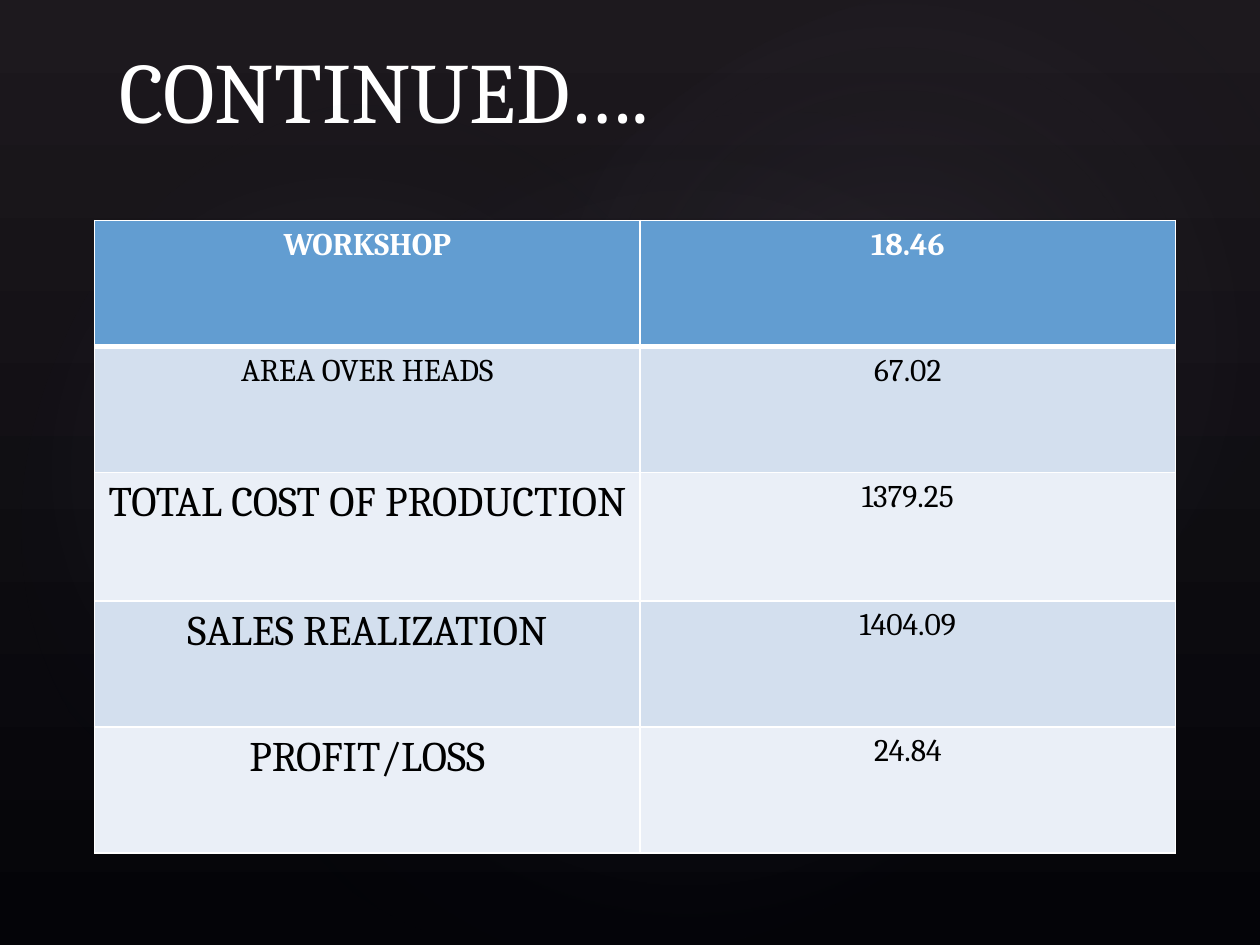
from lxml.etree import SubElement
from pptx import Presentation
from pptx.dml.color import RGBColor
from pptx.enum.shapes import MSO_SHAPE
from pptx.enum.text import MSO_ANCHOR, MSO_AUTO_SIZE, PP_ALIGN
from pptx.oxml import parse_xml
from pptx.oxml.ns import nsdecls, qn
from pptx.util import Inches, Pt

FONT = "Cambria"
WHITE = RGBColor(0xFF, 0xFF, 0xFF)
BLACK = RGBColor(0x00, 0x00, 0x00)
HEADER_BLUE = RGBColor(0x62, 0x9D, 0xD1)
BAND_DARK = RGBColor(0xD3, 0xDF, 0xEE)
BAND_LIGHT = RGBColor(0xEA, 0xEF, 0xF7)
BACKDROP_TOP = RGBColor(0x1D, 0x19, 0x1E)
BACKDROP_BOTTOM = RGBColor(0x04, 0x04, 0x08)
GLOW_CENTRE = RGBColor(0xC4, 0xBC, 0xC6)
GLOW_EDGE = RGBColor(0x24, 0x28, 0x52)

# left, top, width, height, rotation, opacity of the centre in percent
GLOWS = [
    (1.5, 1.14, 7.92, 6.24, 328.7, 7),
    (-0.3, 1.28, 6.06, 4.9, 294.3, 8),
    (3.58, 0.13, 7.09, 5.2, 328.7, 8),
]
# label, value, label size
COST_ROWS = [
    ("WORKSHOP", "18.46", 18),
    ("AREA OVER HEADS", "67.02", 18),
    ("TOTAL COST OF PRODUCTION", "1379.25", 24),
    ("SALES REALIZATION", "1404.09", 24),
    ("PROFIT/LOSS", "24.84", 24),
]
VALUE_SIZE = 18
COLUMN_WIDTHS = [4.33, 4.25]
ROW_HEIGHTS = [1, 1, 1.02, 1, 1]


def add_run(paragraph, text, size, color, bold=False):
    run = paragraph.add_run()
    run.text = text
    run.font.name = FONT
    run.font.size = Pt(size)
    run.font.bold = bold
    run.font.color.rgb = color


def add_glow(slide, left, top, width, height, rotation, opacity):
    """Add a soft ellipse that fades out towards its edge."""
    glow = slide.shapes.add_shape(
        MSO_SHAPE.OVAL, Inches(left), Inches(top), Inches(width), Inches(height))
    glow.rotation = rotation
    glow.shadow.inherit = False
    glow.line.fill.background()
    gradient = parse_xml(
        f'<a:gradFill {nsdecls("a")} rotWithShape="1"><a:gsLst>'
        f'<a:gs pos="0"><a:srgbClr val="{GLOW_CENTRE}">'
        f'<a:alpha val="{opacity * 1000}"/></a:srgbClr></a:gs>'
        f'<a:gs pos="58000"><a:srgbClr val="{GLOW_EDGE}">'
        '<a:alpha val="0"/></a:srgbClr></a:gs></a:gsLst>'
        '<a:path path="circle">'
        '<a:fillToRect l="50000" t="50000" r="50000" b="50000"/>'
        '</a:path></a:gradFill>')
    glow.element.spPr.find(qn("a:prstGeom")).addnext(gradient)


def add_backdrop(slide):
    fill = slide.background.fill
    fill.gradient()
    fill.gradient_angle = 270
    for stop, color in zip(fill.gradient_stops, (BACKDROP_TOP, BACKDROP_BOTTOM)):
        stop.color.rgb = color
    for glow in GLOWS:
        add_glow(slide, *glow)


def place_title(slide, text, left, top, width, height):
    title = slide.shapes.title
    title.left, title.top = left, top
    title.width, title.height = width, height
    frame = title.text_frame
    frame.word_wrap = True
    frame.auto_size = MSO_AUTO_SIZE.NONE
    frame.vertical_anchor = MSO_ANCHOR.BOTTOM
    paragraph = frame.paragraphs[0]
    paragraph.alignment = PP_ALIGN.LEFT
    add_run(paragraph, text, 49, WHITE)


def set_borders(cell, **widths):
    """Draw white borders; widths in points are keyed by L, R, T and B."""
    properties = cell._tc.get_or_add_tcPr()
    for side, width in widths.items():
        line = SubElement(properties, qn(f"a:ln{side}"), w=str(Pt(width)))
        fill = SubElement(line, qn("a:solidFill"))
        SubElement(fill, qn("a:srgbClr"), val=str(WHITE))


def add_cost_table(slide, left, top, width, height):
    table = slide.shapes.add_table(
        len(COST_ROWS), len(COLUMN_WIDTHS), left, top, width, height).table
    for column, column_width in zip(table.columns, COLUMN_WIDTHS):
        column.width = Inches(column_width)
    for row, row_height in zip(table.rows, ROW_HEIGHTS):
        row.height = Inches(row_height)

    for index, (label, value, label_size) in enumerate(COST_ROWS):
        is_header = index == 0
        if is_header:
            fill_color = HEADER_BLUE
        else:
            fill_color = BAND_DARK if index % 2 else BAND_LIGHT
        for column, (text, size) in enumerate(
                [(label, label_size), (value, VALUE_SIZE)]):
            cell = table.cell(index, column)
            set_borders(cell, L=1, R=1, T=3 if index == 1 else 1,
                        B=3 if is_header else 1)
            cell.fill.solid()
            cell.fill.fore_color.rgb = fill_color
            paragraph = cell.text_frame.paragraphs[0]
            paragraph.alignment = PP_ALIGN.CENTER
            add_run(paragraph, text, size,
                    WHITE if is_header else BLACK, bold=is_header)


def main():
    presentation = Presentation()
    presentation.slide_width = Inches(10)
    presentation.slide_height = Inches(7.5)
    slide = presentation.slides.add_slide(presentation.slide_layouts[5])
    add_backdrop(slide)
    place_title(slide, "CONTINUED….",
                Inches(0.85), Inches(0.42), Inches(8.25), Inches(0.75))
    add_cost_table(slide, Inches(0.75), Inches(1.75), Inches(8.58), Inches(5.02))
    presentation.save("out.pptx")


if __name__ == "__main__":
    main()
